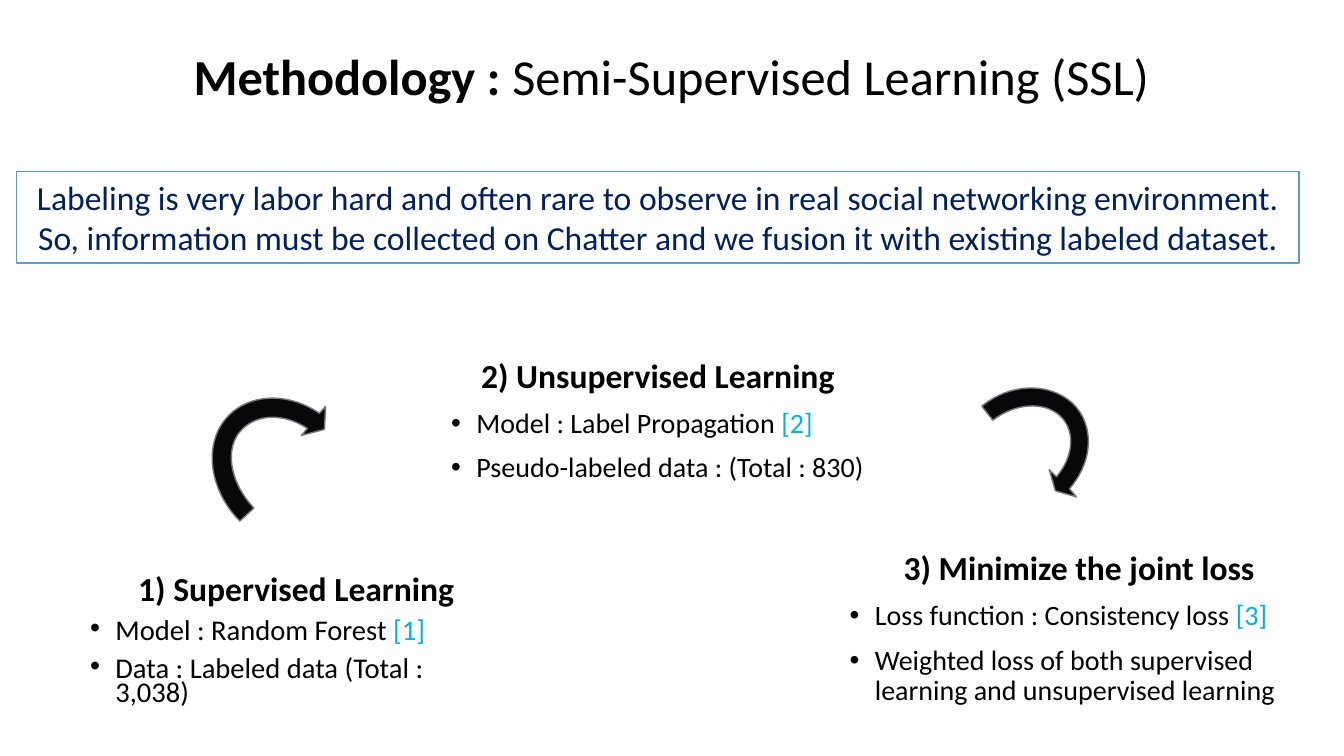
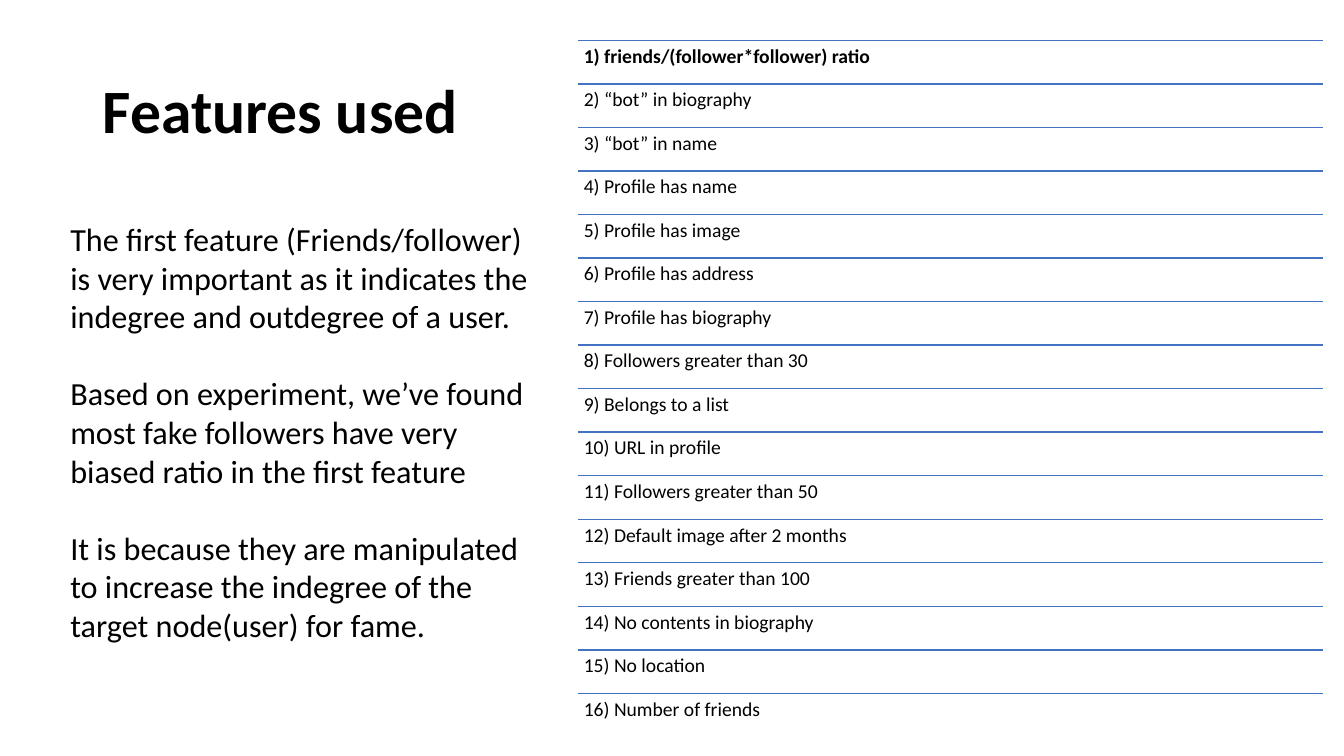
"""Build two slides on semi-supervised learning and the account features it uses."""
from math import cos, radians, sin

from lxml.etree import SubElement
from pptx import Presentation
from pptx.dml.color import RGBColor
from pptx.enum.shapes import MSO_CONNECTOR, MSO_SHAPE
from pptx.enum.text import MSO_ANCHOR, MSO_AUTO_SIZE, PP_ALIGN
from pptx.oxml.ns import qn
from pptx.util import Pt

FONT = "Calibri"
COLORS = {
    "text": "000000", "paper": "FFFFFF", "banner text": "002060",
    "banner line": "5B9BD5", "citation": "00B0F0", "arrow": "06080A",
    "arrow line": "787878", "rule": "4372C3",
}

METHOD_TITLE = [("Methodology : ", True), ("Semi-Supervised Learning (SSL)", False)]
BANNER = [
    "Labeling is very labor hard and often rare to observe in real social networking environment.",
    "So, information must be collected on Chatter and we fusion it with existing labeled dataset.",
]
SUPERVISED = ("1) Supervised Learning", [
    ("Model : Random Forest ", "[1]"), ("Data : Labeled data (Total : 3,038)", "")])
UNSUPERVISED = ("2) Unsupervised Learning", [
    ("Model : Label Propagation ", "[2]"), ("Pseudo-labeled data : (Total : 830)", "")])
JOINT_LOSS = ("3) Minimize the joint loss", [
    ("Loss function : Consistency loss ", "[3]"),
    ("Weighted loss of both supervised learning and unsupervised learning", "")])

ARROWS = [
    {"frame": (150.5, 272.2, 109.4, 132.5), "rotation": 315, "start": (171.4, 372.2),
     "steps": [
         [(150.5, 351.4), (145.4, 320.4), (159.8, 301)],
         [(174.2, 281.5), (203.8, 278.6), (228.2, 295.2)],
         [(232.6, 290.2)], [(231.8, 306.7)], [(215.3, 311)], [(219.6, 306)],
         [(200.9, 293.8), (180, 295.9), (169.9, 310.3)],
         [(160.6, 324), (165.6, 346.3), (181.4, 362.9)]]},
    {"frame": (676.8, 263.5, 101.5, 121.7), "rotation": 52.2, "start": (701.3, 290.2),
     "steps": [
         [(721.4, 273.6), (749.5, 272.9), (766.1, 288)],
         [(781.9, 303.1), (781.2, 329), (763.9, 349.2)],
         [(769, 355)], [(753.8, 350.6)], [(749.5, 335.5)], [(754.6, 340.6)],
         [(767.5, 325.4), (768.2, 306.7), (756.7, 296.6)],
         [(745.2, 286.6), (725, 288), (709.2, 300.2)]]},
]

FEATURES_TITLE = [("Features used", True)]
REMARKS = [
    "The first feature (Friends/follower) is very important as it indicates the "
    "indegree and outdegree of a user.",
    "Based on experiment, we’ve found most fake followers have very biased ratio "
    "in the first feature",
    "It is because they are manipulated to increase the indegree of the target "
    "node(user) for fame.",
]
FEATURES = [
    "friends/(follower*follower) ratio", "“bot” in biography", "“bot” in name",
    "Profile has name", "Profile has image", "Profile has address",
    "Profile has biography", "Followers greater than 30", "Belongs to a list",
    "URL in profile", "Followers greater than 50", "Default image after 2 months",
    "Friends greater than 100", "No contents in biography", "No location",
    "Number of friends",
]


def color(name):
    return RGBColor.from_string(COLORS[name])


def place(box, left, top, width, height):
    box.left, box.top, box.width, box.height = map(Pt, (left, top, width, height))


def prepare(box, anchor=MSO_ANCHOR.TOP, margins=(7.2, 3.6)):
    frame = box.text_frame
    frame.word_wrap = True
    frame.auto_size = MSO_AUTO_SIZE.NONE
    frame.vertical_anchor = anchor
    frame.margin_left = frame.margin_right = Pt(margins[0])
    frame.margin_top = frame.margin_bottom = Pt(margins[1])
    return frame


def add_text_box(page, *area):
    return page.shapes.add_textbox(*map(Pt, area))


def add_paragraph(frame, spans, size, bold=False, align=PP_ALIGN.LEFT, spacing=1.0,
                  before=0, after=0, bullet=False, tone="text"):
    first = frame.paragraphs[0]
    para = frame.add_paragraph() if first.runs else first
    for text in spans:
        para.add_run().text = text
    para.alignment, para.line_spacing = align, spacing
    para.space_before, para.space_after = Pt(before), Pt(after)
    para.font.name, para.font.size, para.font.bold = FONT, Pt(size), bold
    para.font.color.rgb = color(tone)
    for span in para.runs:
        span.font.color.rgb = color(tone)
    properties = para._p.get_or_add_pPr()
    indent = Pt(18) if bullet else 0
    properties.set("marL", str(indent))
    properties.set("indent", str(-indent))
    if bullet:
        SubElement(properties, qn("a:buFont")).set("typeface", "Arial")
        SubElement(properties, qn("a:buChar")).set("char", "•")
    else:
        SubElement(properties, qn("a:buNone"))
    return para


def add_title(page, spans, size, align, *area):
    box = page.shapes.title
    place(box, *area)
    para = add_paragraph(prepare(box, MSO_ANCHOR.MIDDLE), [text for text, _ in spans],
                         size, align=align, spacing=0.9)
    for span, (_, bold) in zip(para.runs, spans):
        span.font.bold = bold


def fill_step(box, step, heading_size=24, size=20, spacing=0.9):
    heading, points = step
    frame = prepare(box)
    add_paragraph(frame, [heading], heading_size, True, PP_ALIGN.CENTER, spacing)
    for text, citation in points:
        spans = [text, citation] if citation else [text]
        para = add_paragraph(frame, spans, size, spacing=spacing, before=10, bullet=True)
        if citation:
            para.runs[-1].font.color.rgb = color("citation")


def paint(shape, fill, line):
    shape.shadow.inherit = False
    shape.fill.solid()
    shape.fill.fore_color.rgb = color(fill)
    shape.line.color.rgb = color(line)
    shape.line.width = Pt(1)


def turn_back(point, frame, rotation):
    """Return the point inside the frame before the frame is rotated."""
    left, top, width, height = frame
    x, y = point[0] - left - width / 2, point[1] - top - height / 2
    angle = radians(-rotation)
    return (Pt(width / 2 + x * cos(angle) - y * sin(angle)),
            Pt(height / 2 + x * sin(angle) + y * cos(angle)))


def add_arrow(page, frame, rotation, start, steps):
    builder = page.shapes.build_freeform(*turn_back(start, frame, rotation))
    builder.add_line_segments([turn_back(step[-1], frame, rotation) for step in steps])
    arrow = builder.convert_to_shape()
    place(arrow, *frame)
    arrow.rotation = rotation
    outline = arrow._element.find(".//" + qn("a:path"))
    outline.set("w", str(arrow.width))
    outline.set("h", str(arrow.height))
    for edge in list(outline):
        outline.remove(edge)
    edges = [("a:moveTo", [start])]
    edges += [("a:cubicBezTo" if len(step) == 3 else "a:lnTo", step) for step in steps]
    for tag, points in edges:
        edge = SubElement(outline, qn(tag))
        for point in points:
            x, y = turn_back(point, frame, rotation)
            node = SubElement(edge, qn("a:pt"))
            node.set("x", str(x))
            node.set("y", str(y))
    SubElement(outline, qn("a:close"))
    paint(arrow, "arrow", "arrow line")


def add_rule(page, left, top, width):
    rule = page.shapes.add_connector(
        MSO_CONNECTOR.STRAIGHT, Pt(left), Pt(top), Pt(left + width), Pt(top))
    rule.line.color.rgb = color("rule")
    rule.line.width = Pt(1)
    SubElement(rule._element.spPr, qn("a:effectLst"))


def build_methodology(page):
    add_title(page, METHOD_TITLE, 36, PP_ALIGN.CENTER, 85.9, 4.7, 787.7, 104.4)
    body = page.placeholders[1]
    place(body, 57.2, 409.7, 308.9, 84.2)
    fill_step(body, SUPERVISED, 24, 20.4, 0.7)
    fill_step(add_text_box(page, 315.2, 253, 309.6, 110.9), UNSUPERVISED)
    banner = page.shapes.add_shape(
        MSO_SHAPE.RECTANGLE, Pt(12), Pt(122.5), Pt(915.8), Pt(65.4))
    paint(banner, "paper", "banner line")
    frame = prepare(banner)
    for text in BANNER:
        add_paragraph(frame, [text], 24, align=PP_ALIGN.CENTER, tone="banner text")
    fill_step(add_text_box(page, 599.8, 390.4, 342, 133.2), JOINT_LOSS)
    for arrow in ARROWS:
        add_arrow(page, **arrow)


def build_features(page):
    add_title(page, FEATURES_TITLE, 44, PP_ALIGN.LEFT, 66.2, 28.8, 828, 104.4)
    left, top, width, row_height = 412.8, 28.8, 532, 31.1
    for index, feature in enumerate(FEATURES):
        row_top = top + index * row_height
        add_rule(page, left, row_top, width)
        box = add_text_box(page, left, row_top, width, row_height)
        add_paragraph(prepare(box, margins=(4.2, 4.2)), [f"{index + 1}) {feature}"],
                      14, bold=index == 0, spacing=0.9)
    body = page.placeholders[1]
    place(body, 43, 149.4, 347, 334)
    frame = prepare(body, margins=(7.2, 7.2))
    for text in REMARKS:
        add_paragraph(frame, [text], 23, after=27.5)


deck = Presentation()
deck.slide_width, deck.slide_height = Pt(960), Pt(540)
for build in (build_methodology, build_features):
    build(deck.slides.add_slide(deck.slide_layouts[1]))
deck.save("out.pptx")
